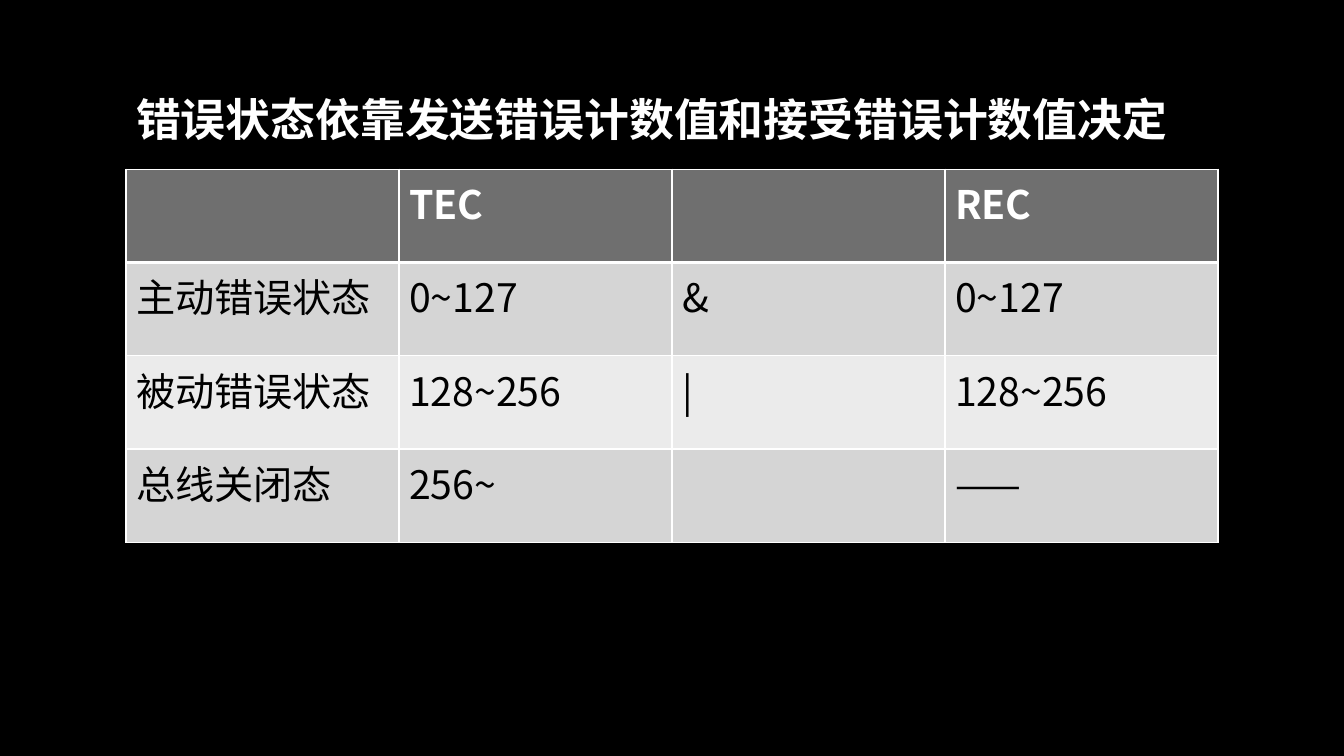
from dataclasses import dataclass
from typing import Any

from lxml import etree
from pptx import Presentation
from pptx import util as u
from pptx.dml.color import RGBColor
from pptx.enum import text
from pptx.oxml import ns

BLACK = RGBColor(0x00, 0x00, 0x00)
WHITE = RGBColor(0xFF, 0xFF, 0xFF)
HEADER_GRAY = RGBColor(0x6F, 0x6F, 0x6F)
BAND_GRAY = RGBColor(0xD5, 0xD5, 0xD5)
LIGHT_GRAY = RGBColor(0xEB, 0xEB, 0xEB)

TITLE_FONT = "League Spartan"
TABLE_FONT = "Noto Sans CJK SC"
LEFT, WIDTH = u.Inches(1.25), u.Inches(10.83)


@dataclass(frozen=True)
class TableRow:
    labels: tuple[str, str, str, str]
    fill: RGBColor
    color: RGBColor = BLACK
    bold: bool = False
    top_width: float = 1
    bottom_width: float = 1


ROWS = (
    TableRow(("", "TEC", "", "REC"), HEADER_GRAY, WHITE, True, bottom_width=3),
    TableRow(("主动错误状态", "0~127", "&", "0~127"), BAND_GRAY, top_width=3),
    TableRow(("被动错误状态", "128~256", "|", "128~256"), LIGHT_GRAY),
    TableRow(("总线关闭态", "256~", "", "——"), BAND_GRAY),
)


def set_attributes(target: Any, values: dict[str, Any]) -> None:
    for name, value in values.items():
        setattr(target, name, value)


def write_text(paragraph: Any, words: str, color: RGBColor, font: dict[str, Any]) -> None:
    run = paragraph.add_run()
    run.text = words
    set_attributes(run.font, font)
    run.font.color.rgb = color
    east_asian = etree.SubElement(run.font._element, ns.qn("a:ea"))
    east_asian.set("typeface", TABLE_FONT)


def add_borders(cell: Any, row: TableRow) -> None:
    properties = cell._tc.get_or_add_tcPr()
    widths = {"lnL": 1, "lnR": 1, "lnT": row.top_width, "lnB": row.bottom_width}
    for position, (side, width) in enumerate(widths.items()):
        line = etree.Element(ns.qn(f"a:{side}"), w=str(u.Pt(width)))
        fill = etree.SubElement(line, ns.qn("a:solidFill"))
        etree.SubElement(fill, ns.qn("a:srgbClr"), val=str(WHITE))
        properties.insert(position, line)


def add_title(slide: Any) -> None:
    title = slide.shapes.title
    set_attributes(title, {"left": LEFT, "top": u.Inches(0.67),
                           "width": WIDTH, "height": u.Inches(1.02)})
    set_attributes(title.text_frame, {"word_wrap": True,
                                      "auto_size": text.MSO_AUTO_SIZE.NONE,
                                      "vertical_anchor": text.MSO_ANCHOR.MIDDLE})
    paragraph = title.text_frame.paragraphs[0]
    paragraph.alignment = text.PP_ALIGN.LEFT
    write_text(paragraph, "错误状态依靠发送错误计数值和接受错误计数值决定", WHITE,
               {"name": TITLE_FONT, "size": u.Pt(32), "bold": True})


def add_state_table(slide: Any) -> None:
    frame = slide.shapes.add_table(len(ROWS), len(ROWS[0].labels),
                                   LEFT, u.Inches(1.68), WIDTH, u.Inches(3.7))
    for table_row, row in zip(frame.table.rows, ROWS):
        for cell, label in zip(table_row.cells, row.labels):
            cell.fill.solid()
            cell.fill.fore_color.rgb = row.fill
            add_borders(cell, row)
            if label:
                write_text(cell.text_frame.paragraphs[0], label, row.color,
                           {"name": TABLE_FONT, "size": u.Pt(28), "bold": row.bold})


def main() -> None:
    presentation = Presentation()
    set_attributes(presentation, {"slide_width": u.Inches(13.33),
                                  "slide_height": u.Inches(7.5)})
    slide = presentation.slides.add_slide(presentation.slide_layouts[5])
    slide.background.fill.solid()
    slide.background.fill.fore_color.rgb = BLACK
    add_title(slide)
    add_state_table(slide)
    presentation.save("out.pptx")


if __name__ == "__main__":
    main()
